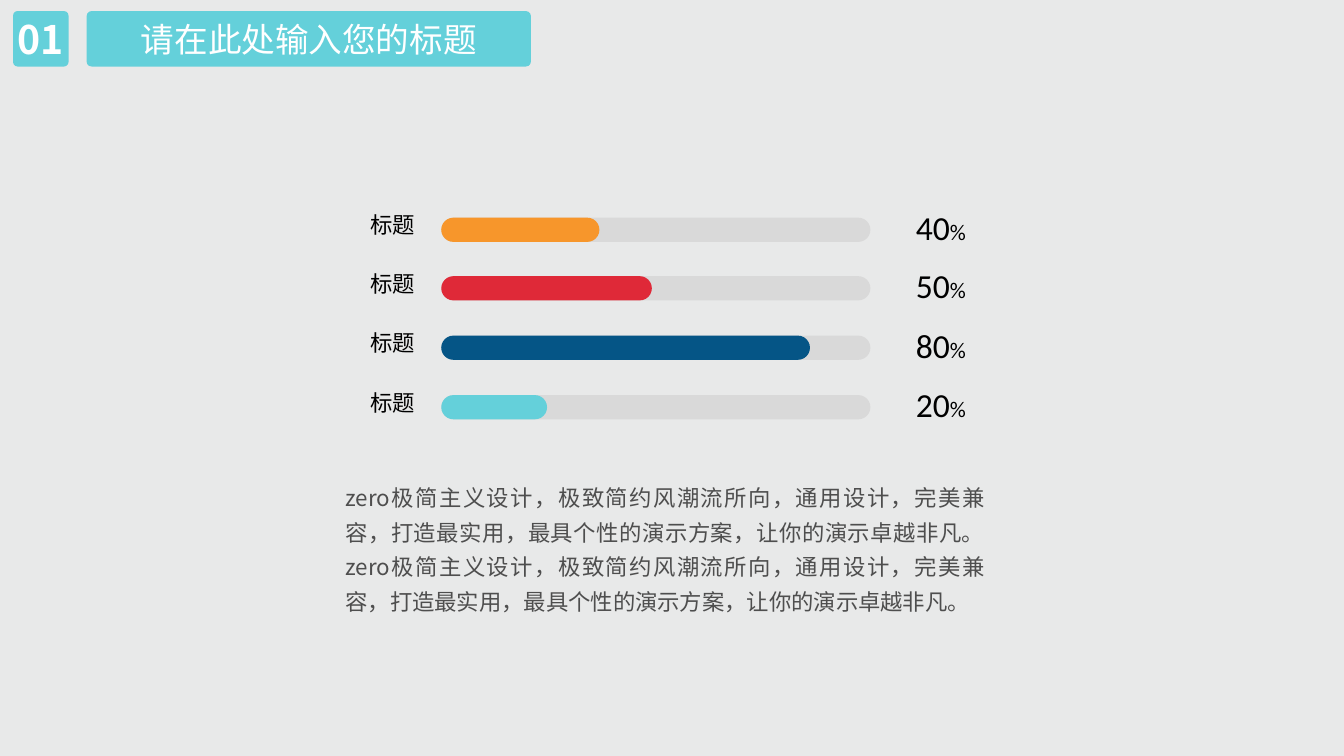
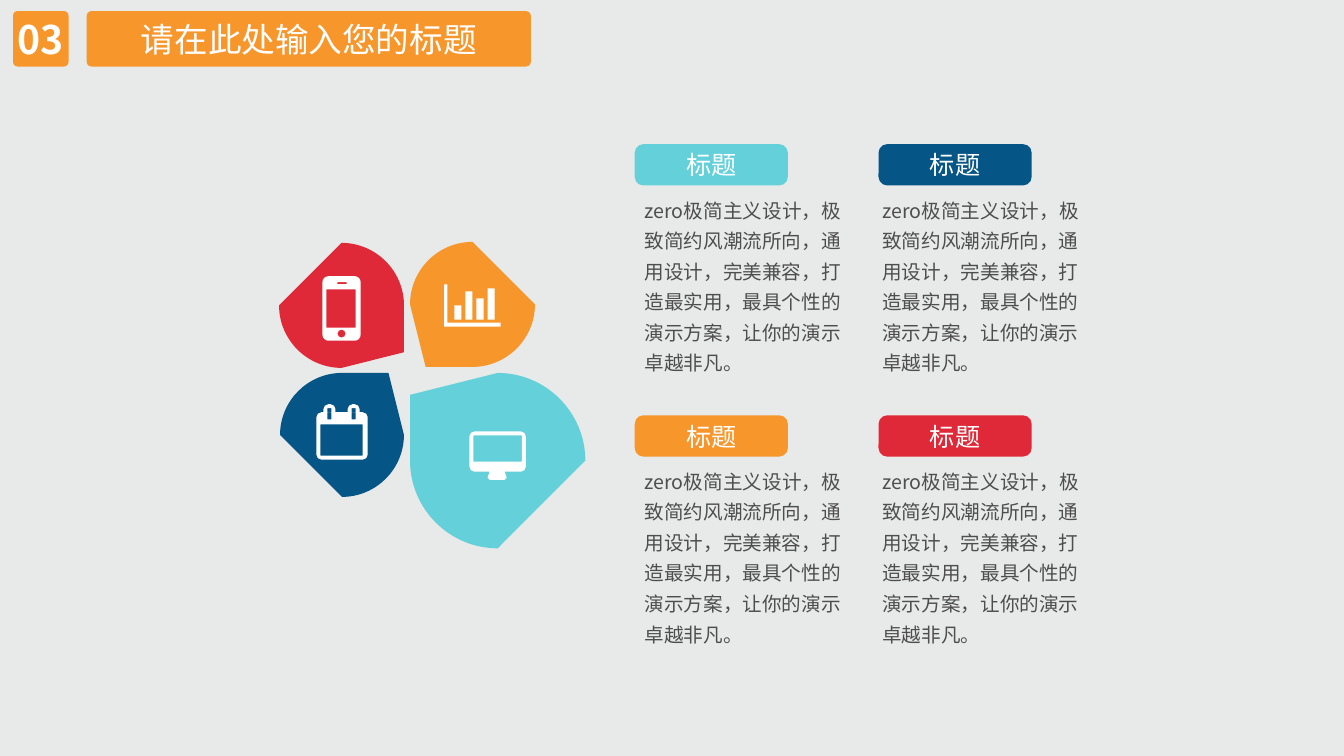
from math import cos, radians, sin

from lxml.etree import SubElement
from pptx import Presentation
from pptx.dml.color import RGBColor
from pptx.enum.shapes import MSO_SHAPE
from pptx.enum.text import MSO_ANCHOR, PP_ALIGN
from pptx.oxml.ns import qn
from pptx.util import Pt

PX = 9144  # EMU in one px, 100 px to the inch
TEAL, NAVY, ORANGE, RED = "64D0DA", "055586", "F7962B", "DF2938"
PAPER, TRACK, WHITE, BLACK, GREY = "E8E9E9", "D9D9D9", "FFFFFF", "000000", "4E4E4E"
CJK, LATIN = "Noto Sans CJK SC", "Calibri"
TITLE = "请在此处输入您的标题"
LABEL = "标题"
BODY = "zero极简主义设计，极致简约风潮流所向，通用设计，完美兼容，打造最实用，最具个性的演示方案，让你的演示卓越非凡。"


def emu(*lengths):
    return [round(length * PX) for length in lengths]


def rgb(color):
    return RGBColor.from_string(color)


def paint(shape, color):
    shape.shadow.inherit = False
    shape.fill.solid()
    shape.fill.fore_color.rgb = rgb(color)
    shape.line.fill.background()


def write(shape, spans, color, align=PP_ALIGN.LEFT, anchor=MSO_ANCHOR.MIDDLE,
          font=CJK, inset=True, bold=False, prose=False):
    """Fill a shape with one paragraph; spans are (text, size) pairs."""
    frame = shape.text_frame
    frame.word_wrap = True
    frame.vertical_anchor = anchor
    frame.margin_left = frame.margin_right = 10 * PX if inset else 0
    frame.margin_top = frame.margin_bottom = 5 * PX if inset else 0
    para = frame.paragraphs[0]
    para.alignment = align
    para._p.get_or_add_pPr().set("hangingPunct", "0")
    if prose:
        para.line_spacing = 1.3
        para.space_before = para.space_after = Pt(6)
    for text, size in spans:
        span = para.add_run()
        span.text = text
        span.font.size = Pt(size)
        span.font.bold = bold
        span.font.color.rgb = rgb(color)
        span.font.name = font
        SubElement(span.font._element, qn("a:ea"), typeface=font)


def add_text(slide, box, spans, color, **style):
    write(slide.shapes.add_textbox(*emu(*box)), spans, color, **style)


def add_pill(slide, box, color, rounding):
    pill = slide.shapes.add_shape(MSO_SHAPE.ROUNDED_RECTANGLE, *emu(*box))
    pill.adjustments[0] = rounding
    paint(pill, color)
    return pill


def bend(shape, sizes):
    """Join each run of three line segments in sizes into one Bézier curve."""
    lines = iter(list(shape._element.iter(qn("a:lnTo"))))
    for size in sizes:
        line = next(lines)
        if size == 3:
            line.tag = qn("a:cubicBezTo")
            for _ in range(2):
                extra = next(lines)
                line.append(extra[0])
                extra.getparent().remove(extra)


def add_outline(slide, contours, color):
    """Draw closed contours as one shape; inner contours become holes.

    A contour lists steps: a start, then one point for a line or three for a curve.
    """
    builder = None
    for contour in contours:
        start, *points = [emu(*point) for step in contour for point in step]
        if builder is None:
            builder = slide.shapes.build_freeform(*start, scale=1.0)
        else:
            builder.move_to(*start)
        builder.add_line_segments(points, close=True)
    shape = builder.convert_to_shape()
    bend(shape, [len(step) for contour in contours for step in contour[1:]])
    paint(shape, color)


def arc(x, y, radius, start):
    """Steps of a quarter circle, clockwise from the start angle."""
    c, s = cos(radians(start)), sin(radians(start))
    points = [(x + radius * (c * u - s * v), y + radius * (s * u + c * v))
              for u, v in [(1, 0), (1, 0.55), (0.55, 1), (0, 1)]]
    return [points[:1], points[1:]]


def rounded(x, y, width, height, top=0, bottom=None):
    """Contour of a rectangle with its top and bottom corner radii."""
    bottom = top if bottom is None else bottom
    right, low = x + width, y + height
    corners = [(x + top, y + top, top, 180), (right - top, y + top, top, 270),
               (right - bottom, low - bottom, bottom, 0),
               (x + bottom, low - bottom, bottom, 90)]
    contour = []
    for cx, cy, radius, start in corners:
        contour += arc(cx, cy, radius, start) if radius else [[(cx, cy)]]
    return contour


def add_petal(slide, x, y, size, turns, color):
    """Two quarter arcs and two points, turned clockwise in quarters."""
    contour = arc(0, 0, 1, 180) + [[(0.75, -1)]] + arc(0, 0, 1, 0)
    for _ in range(turns):
        contour = [[(-py, px) for px, py in step] for step in contour]
    half = size / 2
    add_outline(slide, [[[(x + half + half * px, y + half + half * py)
                          for px, py in step] for step in contour]], color)


def polygon(x, y, points):
    return [[(x + px, y + py)] for px, py in points]


def phone_icon(x, y):
    return [rounded(x, y, 38, 64, 6), rounded(x + 4, y + 13, 29, 38),
            rounded(x + 15, y + 6, 9, 2), rounded(x + 15, y + 53, 8, 8, 4)]


def chart_icon(x, y):
    axes = [(0, 0), (3, 0), (3, 38), (56, 38), (56, 42), (0, 42)]
    bars = [rounded(x + 10 + 11 * i, y + 35 - height, 7, height)
            for i, height in enumerate([14, 28, 21, 31])]
    return [polygon(x, y, axes)] + bars


def calendar_icon(x, y):
    contours = [rounded(x, y + 8, 51, 47, 5), rounded(x + 4, y + 20, 42, 31)]
    for ring in (x + 7, x + 31):
        contours += [rounded(ring, y, 12, 8, 5, 0),
                     rounded(ring + 4, y + 4, 4, 11)]
    return contours


def monitor_icon(x, y):
    stand = [(20, 40), (35, 40), (37, 46), (35, 48), (20, 48), (18, 46)]
    return [rounded(x, y, 56, 40, 5), rounded(x + 4, y + 4, 48, 26),
            polygon(x, y, stand)]


def add_slide(deck, number, color):
    """Add a slide with its background and numbered title band."""
    slide = deck.slides.add_slide(deck.slide_layouts[6])
    slide.background.fill.solid()
    slide.background.fill.fore_color.rgb = rgb(PAPER)
    badge = add_pill(slide, (13, 11, 55, 55), color, 0.08)
    write(badge, [(number, 28)], WHITE, PP_ALIGN.CENTER, inset=False, bold=True)
    band = add_pill(slide, (86, 11, 441, 55), color, 0.09)
    write(band, [(TITLE, 24)], WHITE, PP_ALIGN.CENTER)
    return slide


def add_progress_row(slide, x, y, number, length, color):
    add_text(slide, (x, y, 100, 40), [(LABEL, 16)], BLACK, align=PP_ALIGN.RIGHT)
    for width, fill in ((426, TRACK), (length, color)):
        add_pill(slide, (x + 116, y + 13, width, 24), fill, 0.5)
    add_text(slide, (x + 587, y + 3, 79, 38), [(number, 24), ("%", 16)], BLACK,
             font=LATIN, inset=False)


def add_card(slide, x, y, indent, color):
    heading = add_pill(slide, (x + indent, y, 152, 41), color, 0.21)
    write(heading, [(LABEL, 18)], WHITE, PP_ALIGN.CENTER)
    add_text(slide, (x, y + 42, 227, 192), [(BODY, 14)], GREY,
             anchor=MSO_ANCHOR.TOP, prose=True)


def build_progress_slide(deck):
    slide = add_slide(deck, "01", TEAL)
    rows = [("40", 157, ORANGE), ("50", 209, RED), ("80", 366, NAVY), ("20", 105, TEAL)]
    for i, row in enumerate(rows):
        add_progress_row(slide, 322, 203 + 176 * i // 3, *row)
    add_text(slide, (333, 467, 655, 139), [(f"{BODY} {BODY}", 16)], GREY,
             align=PP_ALIGN.JUSTIFY, anchor=MSO_ANCHOR.TOP, prose=True)


def build_petal_slide(deck):
    slide = add_slide(deck, "03", ORANGE)
    petals = [(407, 370, 174, 3, TEAL, monitor_icon(466, 428)),
              (407, 240, 124, 2, ORANGE, chart_icon(441, 282)),
              (278, 370, 123, 0, NAVY, calendar_icon(314, 401)),
              (277, 241, 124, 1, RED, phone_icon(320, 274))]
    for *petal, icon in petals:
        add_petal(slide, *petal)
        add_outline(slide, icon, WHITE)
    for i, color in enumerate([TEAL, NAVY, ORANGE, RED]):
        row, column = divmod(i, 2)
        add_card(slide, 630 + 236 * column, 143 + 269 * row, 6 * column, color)


def main():
    deck = Presentation()
    deck.slide_width, deck.slide_height = emu(1334, 750)
    build_progress_slide(deck)
    build_petal_slide(deck)
    deck.save("out.pptx")


if __name__ == "__main__":
    main()
